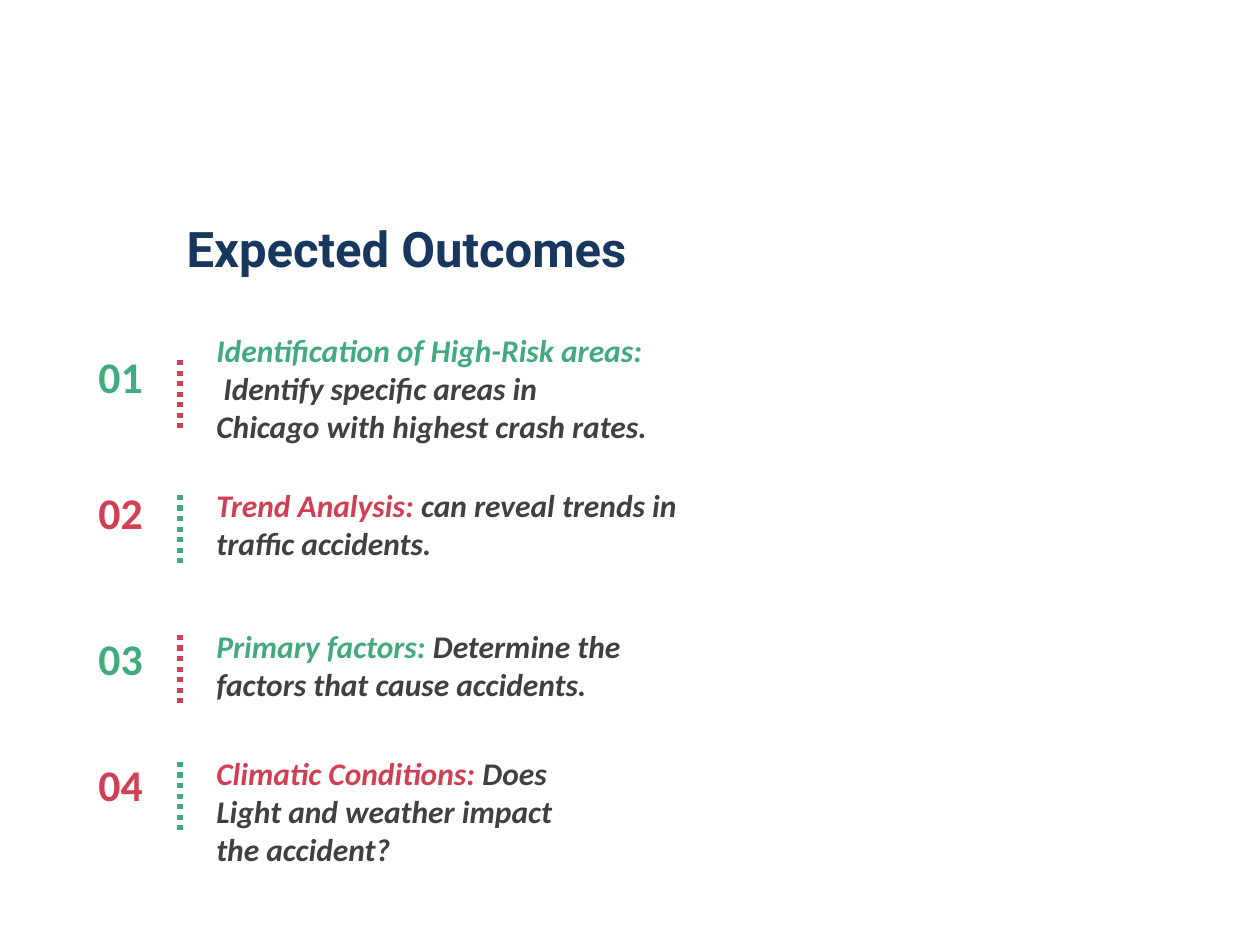
from pptx import Presentation
from pptx.dml.color import RGBColor
from pptx.enum.dml import MSO_LINE
from pptx.enum.shapes import MSO_CONNECTOR
from pptx.enum.text import MSO_ANCHOR, MSO_AUTO_SIZE, PP_ALIGN
from pptx.oxml.ns import qn
from pptx.util import Pt
from lxml import etree

DOTS = MSO_LINE.ROUND_DOT
STRAIGHT = MSO_CONNECTOR.STRAIGHT
TOP = MSO_ANCHOR.TOP
GROW = MSO_AUTO_SIZE.SHAPE_TO_FIT_TEXT
LEFT = PP_ALIGN.LEFT

GREEN = RGBColor(0x42, 0xAB, 0x7D)
RED = RGBColor(0xD0, 0x3F, 0x54)
NAVY = RGBColor(0x17, 0x37, 0x5E)
GRAY = RGBColor(0x40, 0x40, 0x40)

SCALE = 914400 / 126
TITLE_ONLY = 5

ROWS = [
    (325, 344, 360, 505, 127, [
        ["Identification of High-Risk areas:"],
        ["", " Identify specific areas in"],
        ["", "Chicago with highest crash rates."]]),
    (480, 480, 495, 523, 89, [
        ["Trend Analysis: ", "can reveal trends in traffic accidents."]]),
    (621, 626, 635, 476, 89, [
        ["Primary factors: ", "Determine the factors that cause accidents."]]),
    (748, 752, 762, 389, 127, [
        ["Climatic Conditions: ", "Does Light and weather impact the accident?"]]),
]


def px(n):
    return round(n * SCALE)


def write(para, text, size=18, color=GRAY, face="Calibri", slant=False):
    run = para.add_run()
    run.text = text
    font = run.font
    font.name = face
    font.size = Pt(size)
    font.bold = True
    font.italic = slant
    font.color.rgb = color


class Deck:
    def __init__(self, wide, high):
        self.prs = Presentation()
        self.prs.slide_width = px(wide)
        self.prs.slide_height = px(high)
        self.slide = self.prs.slides.add_slide(self.prs.slide_layouts[TITLE_ONLY])

    def title(self, text, x, y, w, h):
        shape = self.slide.shapes.title
        shape.left, shape.top, shape.width, shape.height = map(px, (x, y, w, h))
        frame = shape.text_frame
        frame.auto_size = GROW
        frame.vertical_anchor = TOP
        para = frame.paragraphs[0]
        para.alignment = LEFT
        write(para, text, size=28, color=NAVY, face="Roboto")

    def box(self, x, y, w, h, wrap=True):
        frame = self.slide.shapes.add_textbox(*map(px, (x, y, w, h))).text_frame
        frame.word_wrap = wrap
        frame.auto_size = GROW
        return frame

    def number(self, text, x, y, color):
        frame = self.box(x, y, 71, 66, wrap=False)
        write(frame.paragraphs[0], text, size=25, color=color)

    def body(self, lines, x, y, w, h, color):
        frame = self.box(x, y, w, h)
        for i, parts in enumerate(lines):
            para = frame.add_paragraph() if i else frame.paragraphs[0]
            for text, tint in zip(parts, (color, GRAY)):
                if text:
                    write(para, text, color=tint, slant=True)

    def rule(self, x, y, h, color):
        line = self.slide.shapes.add_connector(
            STRAIGHT, px(x), px(y), px(x), px(y + h))
        line.line.color.rgb = color
        line.line.width = Pt(3)
        line.line.dash_style = DOTS
        etree.SubElement(line._element.spPr, qn("a:effectLst"))


def main():
    deck = Deck(1260, 945)
    deck.title("Expected Outcomes", 174, 212, 525, 72)
    for i, (text_y, num_y, rule_y, w, h, lines) in enumerate(ROWS):
        main_color, rule_color = (RED, GREEN) if i % 2 else (GREEN, RED)
        deck.number(f"{i + 1:02}", 86, num_y, main_color)
        deck.rule(180, rule_y, 69, rule_color)
        deck.body(lines, 204, text_y, w, h, main_color)
    deck.prs.save("out.pptx")


if __name__ == "__main__":
    main()
